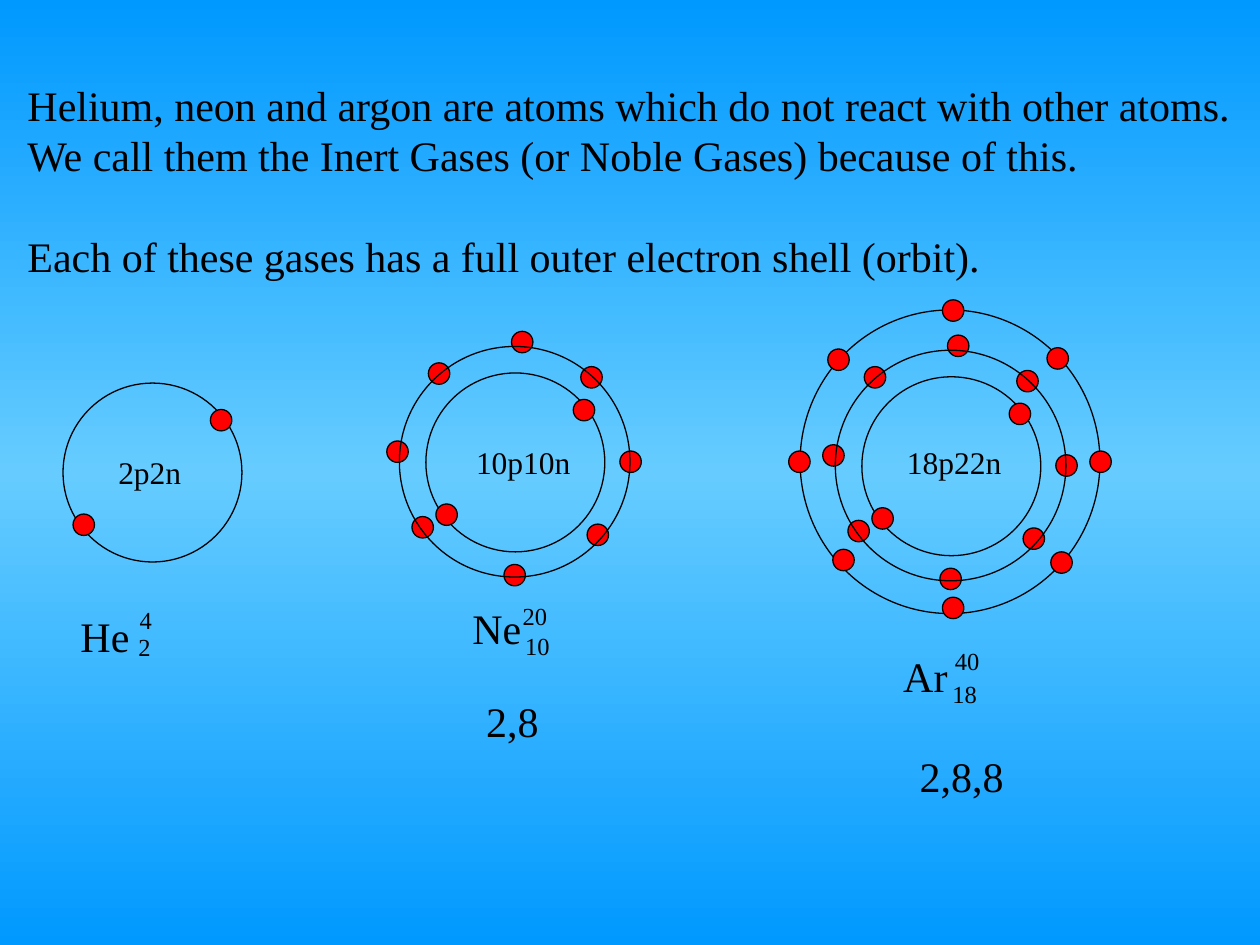
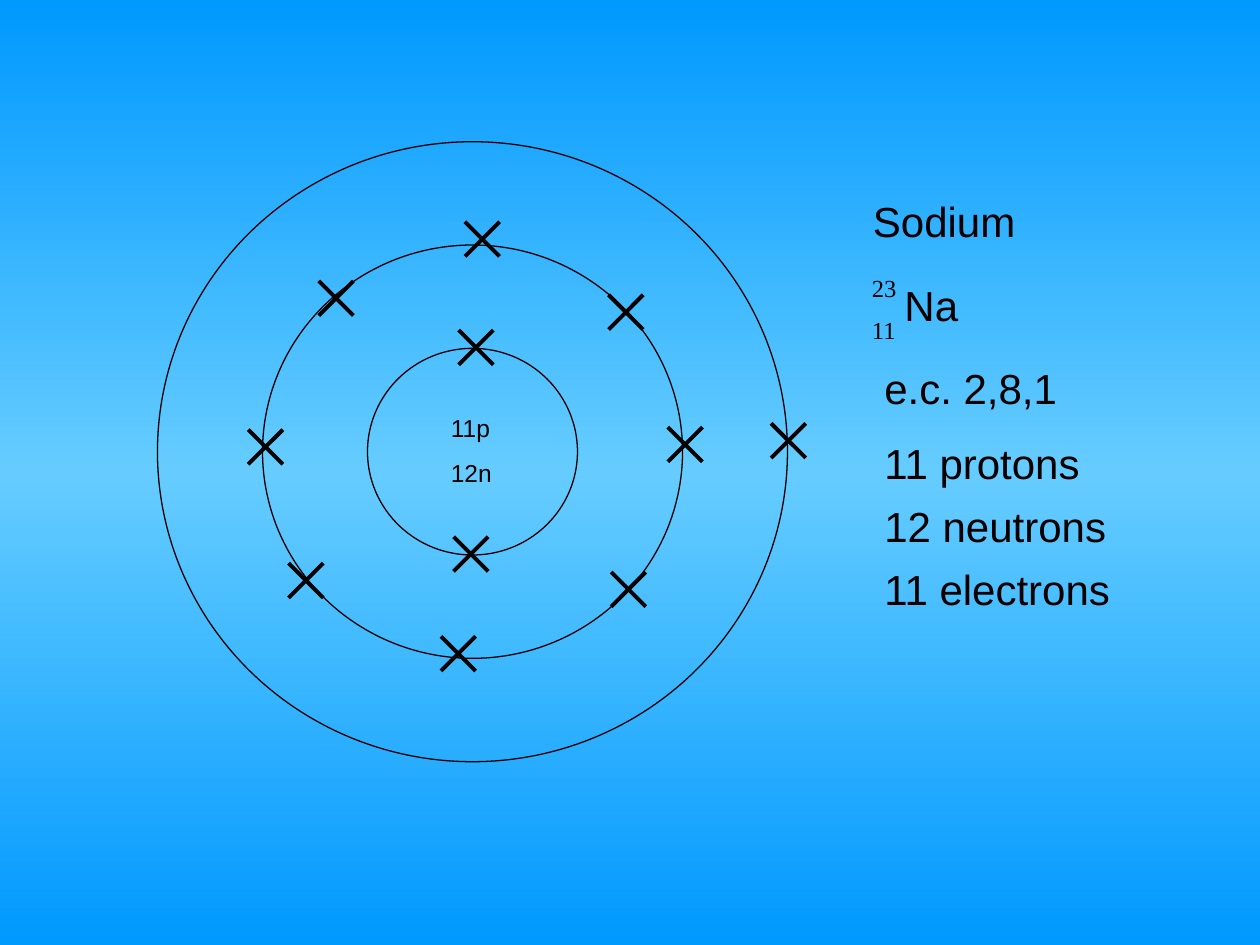
from copy import deepcopy
from dataclasses import dataclass

from pptx import Presentation
from pptx.dml.color import RGBColor
from pptx.enum import shapes, text
from pptx.oxml.ns import qn
from pptx.oxml.xmlchemy import OxmlElement
from pptx.util import Emu, Pt

PX = 9144  # 100 px to the inch


def px(n):
    return Emu(round(n * PX))


def rgb(code):
    return RGBColor.from_string(code)


@dataclass(frozen=True)
class Theme:
    sky: tuple = ("0099FF", "66CCFF", "0099FF")
    ink: str = "000000"
    electron: str = "FF0000"
    serif: str = "Times New Roman"
    sans: str = "Arial"
    body: int = 24
    nucleus: int = 18
    small: int = 14
    thin: float = 0.75
    thick: float = 2.25


def write(tf, content, size, font, color, gaps=()):
    """Fill a text frame, one paragraph a line; gaps are the spaces between lines."""
    for i, line in enumerate(content.split("\n")):
        p = tf.paragraphs[0] if i == 0 else tf.add_paragraph()
        if i and gaps:
            p.space_before = Pt(gaps[i - 1])
        r = p.add_run()
        r.text = line
        r.font.size, r.font.name = Pt(size), font
        r.font.color.rgb = rgb(color)


class Deck:
    def __init__(self, theme):
        self.t = theme
        self.prs = Presentation()
        self.prs.slide_width, self.prs.slide_height = px(1000), px(750)
        self.s = None
        self.paint_background()

    def paint_background(self):
        master = self.prs.slide_master
        fill = master.background.fill
        fill.gradient()
        fill.gradient_angle = 270
        stops = master._element.find(".//" + qn("a:gsLst"))
        stops.append(deepcopy(stops[0]))
        for i, (stop, color) in enumerate(zip(fill.gradient_stops, self.t.sky)):
            stop.position = i / 2
            stop.color.rgb = rgb(color)

    def new_slide(self):
        self.s = self.prs.slides.add_slide(self.prs.slide_layouts[6])

    def label(self, content, x, y, w, h, size=None, font=None, wrap=False,
              inset=True, gaps=()):
        tf = self.s.shapes.add_textbox(px(x), px(y), px(w), px(h)).text_frame
        tf.word_wrap = wrap
        tf.auto_size = text.MSO_AUTO_SIZE.SHAPE_TO_FIT_TEXT
        if not inset:
            tf.margin_left = tf.margin_right = tf.margin_top = tf.margin_bottom = 0
        write(tf, content, size or self.t.body, font or self.t.serif, self.t.ink, gaps)

    def circle(self, x, y, w, h, fill=None):
        sp = self.s.shapes.add_shape(shapes.MSO_SHAPE.OVAL, px(x), px(y), px(w), px(h))
        sp.shadow.inherit = False
        if fill:
            sp.fill.solid()
            sp.fill.fore_color.rgb = rgb(fill)
        else:
            sp.fill.background()
        sp.line.color.rgb = rgb(self.t.ink)
        sp.line.width = Pt(self.t.thin)

    def line(self, x1, y1, x2, y2):
        ln = self.s.shapes.add_connector(
            shapes.MSO_CONNECTOR.STRAIGHT, px(x1), px(y1), px(x2), px(y2))
        ln.line.color.rgb = rgb(self.t.ink)
        ln.line.width = Pt(self.t.thick)
        ln._element.spPr.append(OxmlElement("a:effectLst"))

    def cross(self, x, y, size=27.5):
        self.line(x, y, x + size, y + size)
        self.line(x, y + size, x + size, y)

    def atom(self, x, y, shells):
        """Draw shells around an inner ring whose top left corner is x, y."""
        for (dx, dy, w, h), electrons, ring_on_top in shells:
            ring = (x + dx, y + dy, w, h)
            if not ring_on_top:
                self.circle(*ring)
            for ex, ey in electrons:
                self.circle(x + ex, y + ey, 17, 17, self.t.electron)
            if ring_on_top:
                self.circle(*ring)

    def isotope(self, symbol, mass, number):
        self.label(*symbol)
        for value, x, y in (mass, number):
            self.label(value, x, y, 20 + 11 * len(value), 34, self.t.small)


# Shells: ring box, electron corners, ring drawn over its electrons
SHELLS = (
    ((0, 0, 142, 142), ((117, 21), (8, 104)), False),
    ((-21, -21, 183, 183),
     ((62, 152), (68, -33), (-31, 54), (154, 62),
      (2, -8), (-11, 114), (128, 120), (123, -5)), True),
    ((-49, -53, 238, 241),
     ((-58, 59), (181, 59), (64, 175), (64, -61),
      (-27, -22), (-23, 137), (150, 139), (147, -23)), False),
)


def inert_gases(d):
    d.new_slide()
    d.label("Helium, neon and argon are atoms which do not react with other atoms.\n"
            "We call them the Inert Gases (or Noble Gases) because of this.\n"
            "Each of these gases has a full outer electron shell (orbit).",
            12, 58, 976, 170, gaps=(0, 28.8))

    # Atoms with one, two and three shells
    for count, (x, y) in enumerate(((50, 304), (338, 296), (684, 299)), 1):
        d.atom(x, y, SHELLS[:count])
    for content, x, y, w in (("2p2n", 84, 355, 72), ("10p10n", 368, 347, 97),
                             ("18p22n", 710, 347, 97)):
        d.label(content, x, y, w, 40, d.t.nucleus)

    # Symbols and electron configurations
    d.isotope(("He", 54, 480, 61, 50), ("4", 101, 475), ("2", 100, 497))
    d.isotope(("Ne", 365, 473, 61, 50), ("20", 405, 472), ("10", 407, 496))
    d.isotope(("Ar", 707, 511, 57, 50), ("40", 748, 508), ("18", 746, 534))
    d.label("2,8", 376, 547, 64, 50)
    d.label("2,8,8", 720, 591, 89, 50)


def sodium(d):
    d.new_slide()

    # Three evenly spaced shells
    for n in (1, 2, 3):
        w, h = 500 * n / 3, 164 * n
        d.circle(375 - w / 2, 358.5 - h / 2, w, h)

    # Electrons, from the inner shell outwards
    for x, y in ((360, 426), (364, 262),
                 (229, 447), (253, 223), (483, 234), (485, 454),
                 (197, 341), (530, 339), (369, 176), (350, 505),
                 (612, 336)):
        d.cross(x, y)
    d.label("11p\n12n", 348, 323, 67, 69, d.t.small, d.t.sans, wrap=True, gaps=(8.8,))

    # Facts
    for content, x, y, w in (("Sodium", 683, 150, 133), ("Na", 708, 217, 100),
                             ("e.c. 2,8,1", 692, 283, 258), ("11 protons", 692, 342, 217),
                             ("12 neutrons", 692, 392, 217), ("11 electrons", 692, 442, 217)):
        d.label(content, x, y, w, 50, font=d.t.sans, wrap=True)
    for content, y in (("23", 217), ("11", 250)):
        d.label(content, 692, y, 25, 23, d.t.small, wrap=True, inset=False)


def main():
    d = Deck(Theme())
    inert_gases(d)
    sodium(d)
    d.prs.save("out.pptx")


if __name__ == "__main__":
    main()
